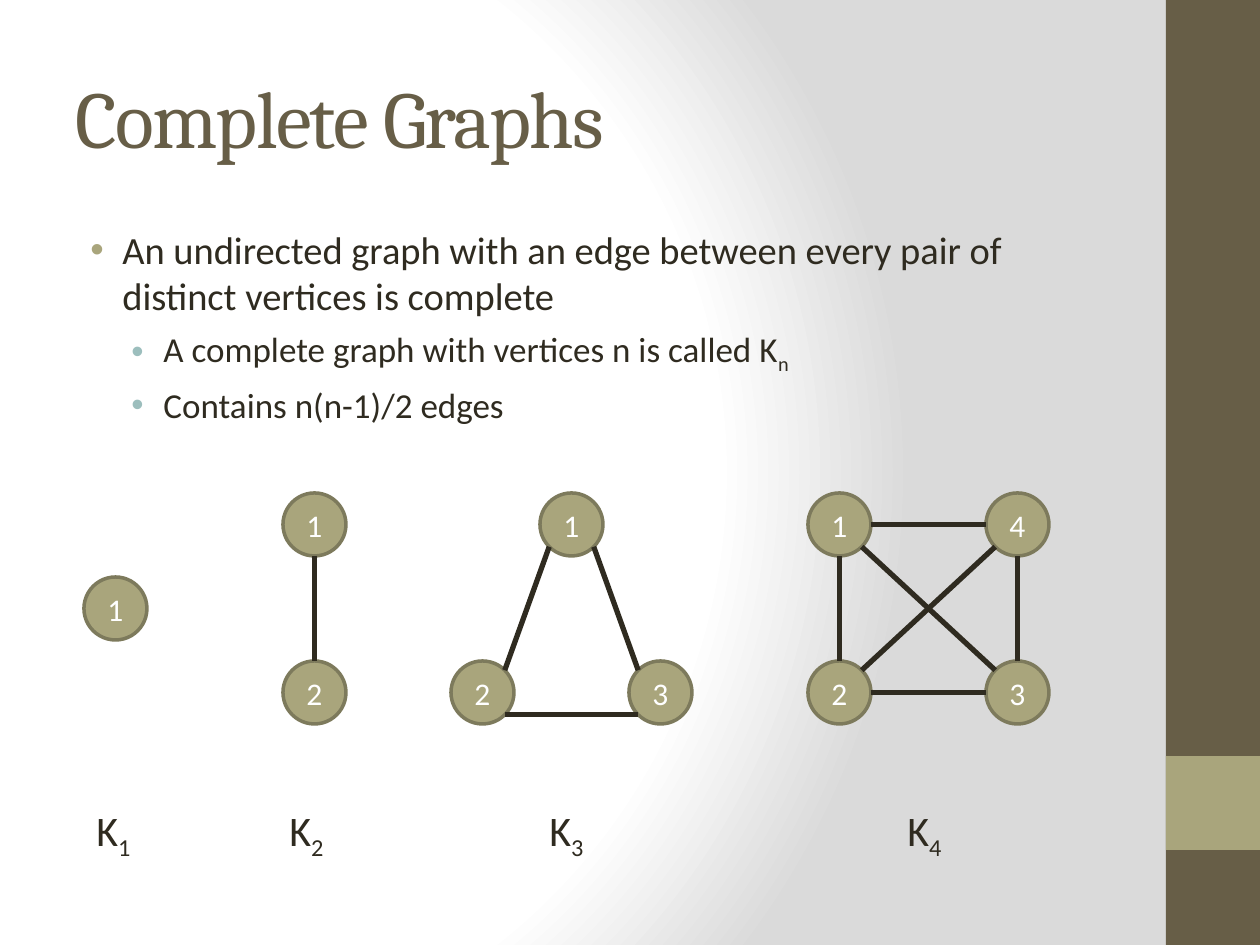
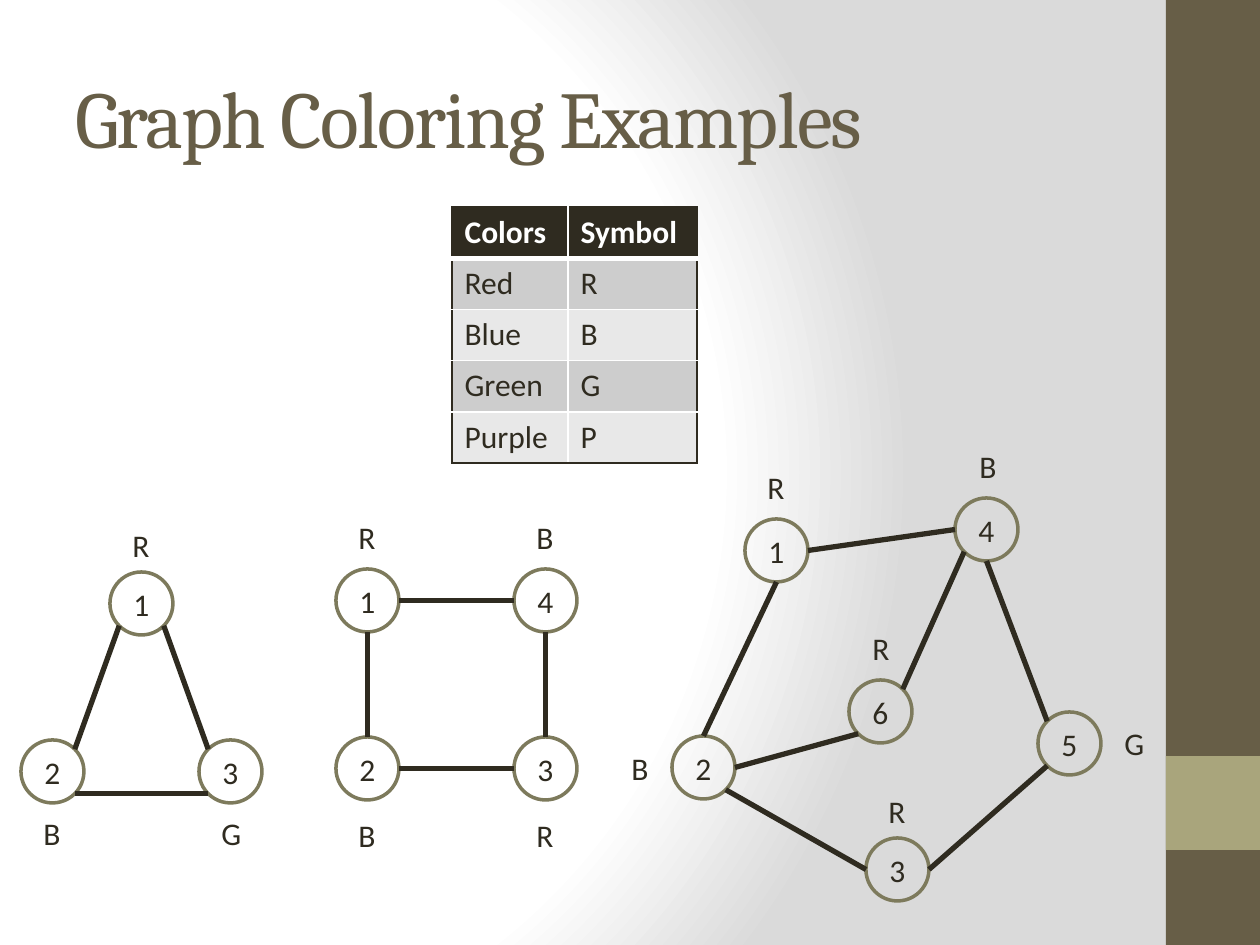
"""Build two slides on complete graphs and graph coloring."""
from math import cos, radians, sin

from lxml import etree
from pptx import Presentation
from pptx.dml.color import RGBColor
from pptx.enum.shapes import MSO_CONNECTOR, MSO_SHAPE
from pptx.enum.text import MSO_ANCHOR, MSO_AUTO_SIZE, PP_ALIGN
from pptx.oxml import parse_xml
from pptx.oxml.ns import nsdecls, qn
from pptx.util import Pt

RECT, OVAL = MSO_SHAPE.RECTANGLE, MSO_SHAPE.OVAL
STRAIGHT = MSO_CONNECTOR.STRAIGHT
MIDDLE, CENTER = MSO_ANCHOR.MIDDLE, PP_ALIGN.CENTER
FIT_SHAPE = MSO_AUTO_SIZE.SHAPE_TO_FIT_TEXT

BROWN = RGBColor(0x67, 0x5E, 0x47)
OLIVE = RGBColor(0xA9, 0xA5, 0x7C)
OUTLINE = RGBColor(0x7D, 0x7A, 0x5C)
TEAL = RGBColor(0x9C, 0xBE, 0xBD)
DARK = RGBColor(0x2F, 0x2B, 0x20)
WHITE = RGBColor(0xFF, 0xFF, 0xFF)
EDGE_GRAY = RGBColor(0xDA, 0xDA, 0xDA)
ROW_GRAYS = (RGBColor(0xE8, 0xE8, 0xE8), RGBColor(0xCD, 0xCD, 0xCD))

BODY_FONT, TITLE_FONT = "Calibri", "Cambria"
EMU_PER_PX = 914400 / 126
WIDTH, HEIGHT, BAND_X = 1260, 945, 1166
NODE = 63

# Node positions: number -> (left, top)
SQUARE = {1: (0, 0), 2: (0, 168), 3: (178, 168), 4: (178, 0)}
TRIANGLE = {1: (89, 0), 2: (0, 168), 3: (178, 168)}
NETWORK = {1: (745, 519), 2: (672, 736), 3: (866, 838),
           4: (955, 498), 5: (1038, 712), 6: (849, 680)}

# Edges: (node, site, node, site); sites run counterclockwise from the top, 0-7
PAIR_EDGES = [(1, 4, 2, 0)]
TRIANGLE_EDGES = [(1, 3, 2, 7), (1, 5, 3, 1), (3, 3, 2, 5)]
SQUARE_EDGES = PAIR_EDGES + [(2, 6, 3, 2), (1, 6, 4, 2), (4, 4, 3, 0)]
DIAGONALS = [(2, 7, 4, 3), (1, 5, 3, 1)]
NETWORK_EDGES = PAIR_EDGES + [(2, 5, 3, 2), (1, 6, 4, 2), (4, 4, 5, 1),
                              (3, 6, 5, 3), (6, 3, 2, 6), (6, 7, 4, 3)]


def px(value):
    """Turn picture pixels into EMU."""
    return round(value * EMU_PER_PX)


def box(*lengths):
    """Turn left, top, width and height into EMU."""
    return [px(v) for v in lengths]


def add_run(p, text, size, color=DARK, font=BODY_FONT, bold=False, **attrs):
    """Add one run; attrs are further run attributes such as baseline."""
    r = p.add_run()
    r.text = text
    r.font.size, r.font.name, r.font.bold = Pt(size), font, bold
    r.font.color.rgb = color
    for name, value in attrs.items():
        r._r.get_or_add_rPr().set(name, str(value))


def add_subscripted(p, text, subscript, size):
    """Add text followed by a subscript."""
    add_run(p, text, size)
    add_run(p, subscript, size, baseline=-25000)


def add_shape(s, kind, bounds, fill=None, line=None):
    """Add a preset shape without shadow."""
    sp = s.shapes.add_shape(kind, *box(*bounds))
    sp.shadow.inherit = False
    if fill is None:
        sp.fill.background()
    else:
        sp.fill.solid()
        sp.fill.fore_color.rgb = fill
    if line is None:
        sp.line.fill.background()
    else:
        sp.line.color.rgb = line
        sp.line.width = Pt(2)
    return sp


def add_background(s):
    """Give the slide its round white to gray gradient."""
    stops = "".join(f'<a:gs pos="{pos}"><a:srgbClr val="{color}"/></a:gs>'
                    for pos, color in ((0, WHITE), (75000, WHITE),
                                       (100000, EDGE_GRAY)))
    bg = parse_xml(
        f'<p:bg {nsdecls("p", "a")}><p:bgPr><a:gradFill rotWithShape="1">'
        f'<a:gsLst>{stops}</a:gsLst><a:path path="circle">'
        '<a:fillToRect l="20000" t="50000" r="100000" b="50000"/></a:path>'
        '</a:gradFill><a:effectLst/></p:bgPr></p:bg>')
    s.element.cSld.insert(0, bg)


def new_slide(prs, title):
    """Add a slide with background, side bands and title."""
    s = prs.slides.add_slide(prs.slide_layouts[6])
    add_background(s)
    band = WIDTH - BAND_X
    add_shape(s, RECT, (BAND_X, 0, band, HEIGHT), BROWN)
    add_shape(s, RECT, (BAND_X, 756, band, band), OLIVE)
    tf = s.shapes.add_textbox(*box(63, 38, 1050, 157)).text_frame
    tf.word_wrap, tf.vertical_anchor = True, MIDDLE
    add_run(tf.paragraphs[0], title, 46, BROWN, TITLE_FONT, spc=-100)
    return s


def format_bullet(p, level):
    """Set indent, spacing and bullet for a list level."""
    p.level = level
    p.space_before = Pt(5)
    pPr = p._p.get_or_add_pPr()
    pPr.set("marL", str(px((47, 88)[level])))
    pPr.set("indent", str(px(-32)))
    color = etree.SubElement(pPr, qn("a:buClr"))
    etree.SubElement(color, qn("a:srgbClr"), val=str((OLIVE, TEAL)[level]))
    etree.SubElement(pPr, qn("a:buFont"), typeface="Arial")
    etree.SubElement(pPr, qn("a:buChar"), char="•")


def add_definition(s):
    """Add the bulleted definition of complete graphs."""
    tf = s.shapes.add_textbox(*box(63, 220, 1050, 662)).text_frame
    tf.word_wrap = True
    p = tf.paragraphs[0]
    format_bullet(p, 0)
    add_run(p, "An undirected graph with an edge between every pair of "
               "distinct vertices is complete", 22)
    p = tf.add_paragraph()
    format_bullet(p, 1)
    add_subscripted(p, "A complete graph with vertices n is called K", "n", 20)
    p = tf.add_paragraph()
    format_bullet(p, 1)
    add_run(p, "Contains n(n-1)/2 edges", 20)


def add_label(s, left, top, width, height):
    """Add a one-line label box and return its paragraph."""
    tf = s.shapes.add_textbox(*box(left, top, width, height)).text_frame
    tf.word_wrap, tf.auto_size = False, FIT_SHAPE
    return tf.paragraphs[0]


def add_node(s, left, top, number, fill):
    """Add a numbered vertex; unfilled ones have dark text."""
    sp = add_shape(s, OVAL, (left, top, NODE, NODE), fill, OUTLINE)
    sp.text_frame.vertical_anchor = MIDDLE
    p = sp.text_frame.paragraphs[0]
    p.alignment = CENTER
    add_run(p, str(number), 18, WHITE if fill else DARK)


def site_point(node, site):
    """Find the point of a connection site on a vertex's rim."""
    left, top = node
    angle, radius = radians(90 + 45 * site), NODE / 2
    return (px(left + radius + radius * cos(angle)),
            px(top + radius - radius * sin(angle)))


def add_edge(s, start, end):
    """Add a straight edge between two points."""
    line = s.shapes.add_connector(STRAIGHT, *start, *end)
    line.line.color.rgb = DARK
    line.line.width = Pt(3)
    etree.SubElement(line._element.spPr, qn("a:effectLst"))


def add_graph(s, nodes, edges, left=0, top=0, fill=None, labels=()):
    """Add a graph; labels are (node, letter, dx, dy) from the node's corner."""
    nodes = {n: (left + x, top + y) for n, (x, y) in nodes.items()}
    for number, (x, y) in nodes.items():
        add_node(s, x, y, number, fill)
    for a, site_a, b, site_b in edges:
        add_edge(s, site_point(nodes[a], site_a), site_point(nodes[b], site_b))
    for number, letter, dx, dy in labels:
        x, y = nodes[number]
        width = 45 if letter == "G" else 43
        add_run(add_label(s, x + dx, y + dy, width, 50), letter, 18)


def set_borders(cell, **sides):
    """Set cell borders from L, R, T, B = (colour, points)."""
    tcPr = cell._tc.get_or_add_tcPr()
    for i, side in enumerate("LRTB"):
        color, points = sides[side]
        ln = etree.Element(qn("a:ln" + side), w=str(Pt(points)))
        fill = etree.SubElement(ln, qn("a:solidFill"))
        etree.SubElement(fill, qn("a:srgbClr"), val=str(color))
        tcPr.insert(i, ln)


def add_color_table(s):
    """Add the table of colors and their symbols."""
    rows = [("Colors", "Symbol"), ("Red", "R"), ("Blue", "B"),
            ("Green", "G"), ("Purple", "P")]
    table = s.shapes.add_table(len(rows), 2, *box(452, 207, 245, 256)).table
    table.first_row = table.horz_banding = False
    for column, width in zip(table.columns, (116, 129)):
        column.width = px(width)
    outer, inner, thick = (DARK, 1), (WHITE, 1), (WHITE, 3)
    last = len(rows) - 1
    for i, row in enumerate(rows):
        for j, text in enumerate(row):
            cell = table.cell(i, j)
            head = i == 0
            cell.fill.solid()
            cell.fill.fore_color.rgb = DARK if head else ROW_GRAYS[i % 2]
            add_run(cell.text_frame.paragraphs[0], text, 18,
                    WHITE if head else DARK, bold=head)
            set_borders(cell,
                        L=inner if j else outer,
                        R=outer if j else inner,
                        T=outer if head else thick if i == 1 else inner,
                        B=thick if head else outer if i == last else inner)


def build_complete_graphs(prs):
    """Build the slide that shows K1 to K4."""
    s = new_slide(prs, "Complete Graphs")
    add_definition(s)
    pair = {n: SQUARE[n] for n in (1, 2)}
    add_graph(s, {1: (0, 0)}, [], 84, 577, OLIVE)
    add_graph(s, pair, PAIR_EDGES, 283, 493, OLIVE)
    add_graph(s, TRIANGLE, TRIANGLE_EDGES, 451, 493, OLIVE)
    add_graph(s, SQUARE, SQUARE_EDGES + DIAGONALS, 808, 493, OLIVE)
    for order, left in enumerate((84, 277, 537, 895), start=1):
        add_subscripted(add_label(s, left, 798, 62, 63), "K", str(order), 24)


def build_coloring_examples(prs):
    """Build the slide with three colored graphs and the color key."""
    s = new_slide(prs, "Graph Coloring Examples")
    add_graph(s, TRIANGLE, TRIANGLE_EDGES, 21, 572, labels=[
        (1, "R", 10, -52), (2, "B", 10, 68), (3, "G", 10, 68)])
    add_graph(s, SQUARE, SQUARE_EDGES, 336, 569, labels=[
        (1, "R", 10, -57), (2, "B", 10, 73),
        (3, "R", 10, 73), (4, "B", 10, -57)])
    add_graph(s, NETWORK, NETWORK_EDGES, labels=[
        (1, "R", 10, -57), (2, "B", -53, 7), (3, "R", 10, -52),
        (4, "B", 12, -57), (5, "G", 74, 6), (6, "R", 11, -57)])
    add_color_table(s)


def main():
    """Create and save the presentation."""
    prs = Presentation()
    prs.slide_width, prs.slide_height = px(WIDTH), px(HEIGHT)
    build_complete_graphs(prs)
    build_coloring_examples(prs)
    prs.save("out.pptx")


main()
